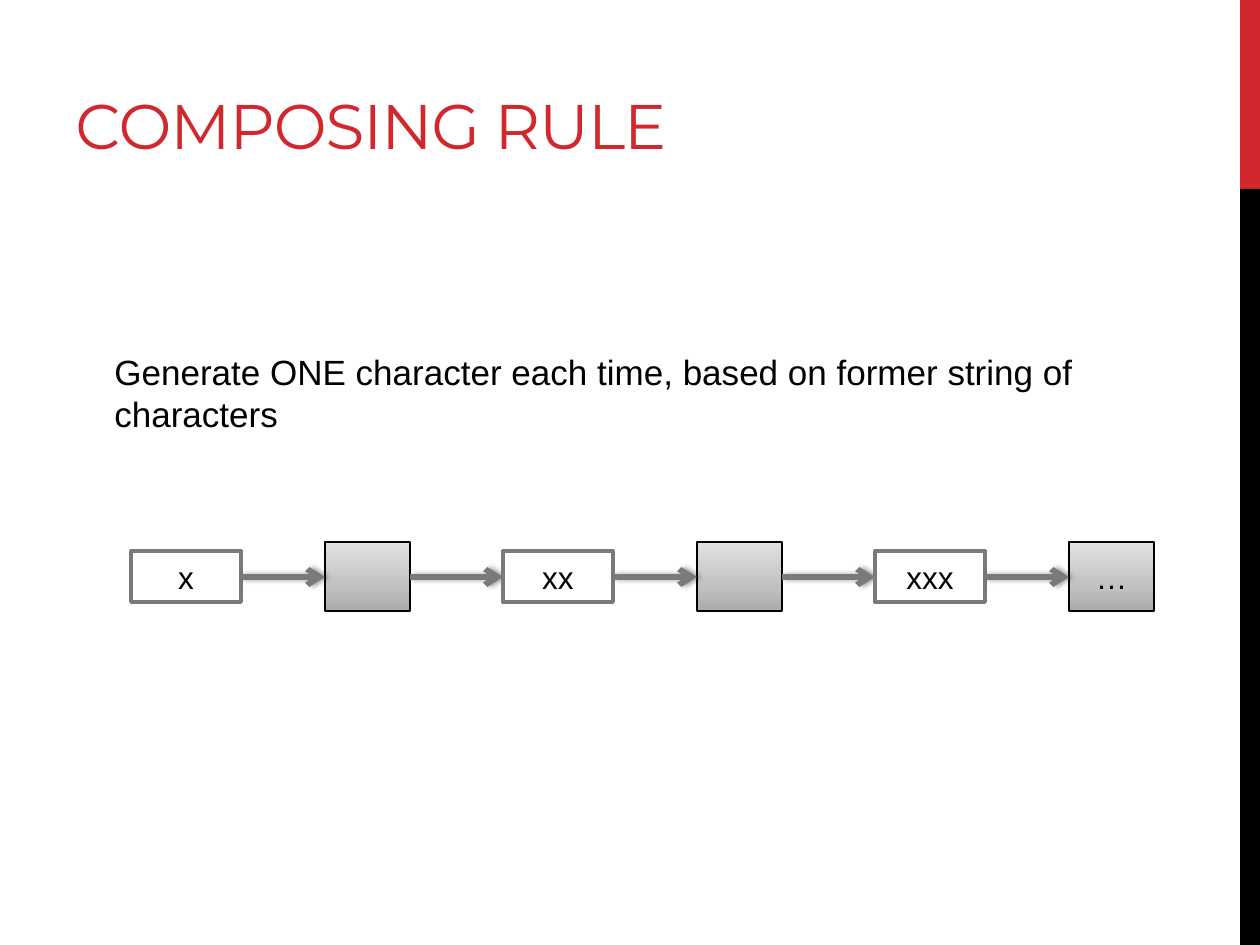
from lxml import etree
from pptx import Presentation
from pptx.dml.color import RGBColor
from pptx.enum.shapes import MSO_CONNECTOR, MSO_SHAPE
from pptx.enum.text import MSO_ANCHOR, PP_ALIGN
from pptx.oxml.ns import qn
from pptx.util import Emu, Pt

EMU_PER_PX = 914400 / 126
RED, BLACK, WHITE, GRAY = "D1282E", "000000", "FFFFFF", "7A7A7A"
GRADIENT = [(0, "ABABAB"), (35, "C1C1C1"), (100, "E1E1E1")]


def px(length):
    return Emu(round(length * EMU_PER_PX))


def color(hex_value):
    return RGBColor.from_string(hex_value)


def add_xml(parent, tag, **attributes):
    return etree.SubElement(parent, qn(tag), attributes)


def apply(target, values):
    for name, value in values.items():
        setattr(target, name, value)


class SlideBuilder:
    text_font = "Arial"
    title_font = "Montserrat"

    def __init__(self, slide):
        self.slide = slide

    def fill_text(self, shape, text, size, font=None, fill=BLACK, spacing=None,
                  align=PP_ALIGN.LEFT, **frame_format):
        frame = shape.text_frame
        apply(frame, {"word_wrap": True, **frame_format})
        paragraph = frame.paragraphs[0]
        paragraph.alignment = align
        run = paragraph.add_run()
        run.text = text
        apply(run.font, {"name": font or self.text_font, "size": Pt(size)})
        run.font.color.rgb = color(fill)
        if spacing is not None:
            run.font._element.set("spc", str(round(spacing * 100)))

    def text(self, left, top, width, height, text, size, **text_format):
        shape = self.slide.shapes.add_textbox(*map(px, (left, top, width, height)))
        self.fill_text(shape, text, size, **text_format)

    def box(self, left, top, width, height, fill, line=None, weight=1, text=""):
        shape = self.slide.shapes.add_shape(
            MSO_SHAPE.RECTANGLE, *map(px, (left, top, width, height)))
        shape.shadow.inherit = False
        if isinstance(fill, str):
            shape.fill.solid()
            shape.fill.fore_color.rgb = color(fill)
        else:
            self.gradient(shape, fill)
        if line:
            shape.line.color.rgb = color(line)
            shape.line.width = Pt(weight)
        else:
            shape.line.fill.background()
        if text:
            self.fill_text(shape, text, 18, align=PP_ALIGN.CENTER,
                           vertical_anchor=MSO_ANCHOR.MIDDLE)

    def gradient(self, shape, stops):
        shape.fill.gradient()
        shape.fill.gradient_angle = 90
        stop_list = shape._element.spPr.find(qn("a:gradFill")).find(qn("a:gsLst"))
        for old_stop in list(stop_list):
            stop_list.remove(old_stop)
        for percent, hex_value in stops:
            stop = add_xml(stop_list, "a:gs", pos=str(percent * 1000))
            add_xml(stop, "a:srgbClr", val=hex_value)

    def arrow(self, start, end, y):
        connector = self.slide.shapes.add_connector(
            MSO_CONNECTOR.STRAIGHT, *map(px, (start, y, end, y)))
        connector.line.color.rgb = color(GRAY)
        connector.line.width = Pt(3.25)
        add_xml(connector.line._get_or_add_ln(), "a:tailEnd", type="arrow")
        effects = add_xml(connector._element.spPr, "a:effectLst")
        shadow = add_xml(effects, "a:outerShdw", blurRad=str(int(Pt(3.1))),
                         dist=str(int(Pt(1.8))), dir="0", rotWithShape="0")
        shadow_color = add_xml(shadow, "a:srgbClr", val=BLACK)
        add_xml(shadow_color, "a:alpha", val="40000")


def main():
    presentation = Presentation()
    apply(presentation, {"slide_width": px(1260), "slide_height": px(945)})
    builder = SlideBuilder(
        presentation.slides.add_slide(presentation.slide_layouts[6]))

    # Side bar
    builder.box(1240, 0, 20, 189, RED)
    builder.box(1240, 189, 20, 756, BLACK)

    # Title and statement
    builder.text(63, 21, 798, 144, "COMPOSING RULE", 36,
                 font=builder.title_font, fill=RED, spacing=-0.6,
                 vertical_anchor=MSO_ANCHOR.BOTTOM, margin_bottom=px(3))
    builder.text(102, 344, 1056, 56,
                 "Generate ONE character each time, based on former string "
                 "of characters", 20)

    # Chain: each string feeds a generator, which feeds the next string
    first, step, middle = 131, 372, 577
    string_width, generator_offset, generator_width = 110, 194, 85
    steps = [("x", ""), ("xx", ""), ("xxx", "…")]
    for index, (string, label) in enumerate(steps):
        left = first + index * step
        generator = left + generator_offset
        builder.box(left, middle - 26, string_width, 51, WHITE, GRAY, 2.25, string)
        builder.box(generator, middle - 35, generator_width, 69, GRADIENT,
                    BLACK, 1, label)
        builder.arrow(left + string_width, generator, middle)
        if index < len(steps) - 1:
            builder.arrow(generator + generator_width, left + step, middle)

    presentation.save("out.pptx")


if __name__ == "__main__":
    main()
